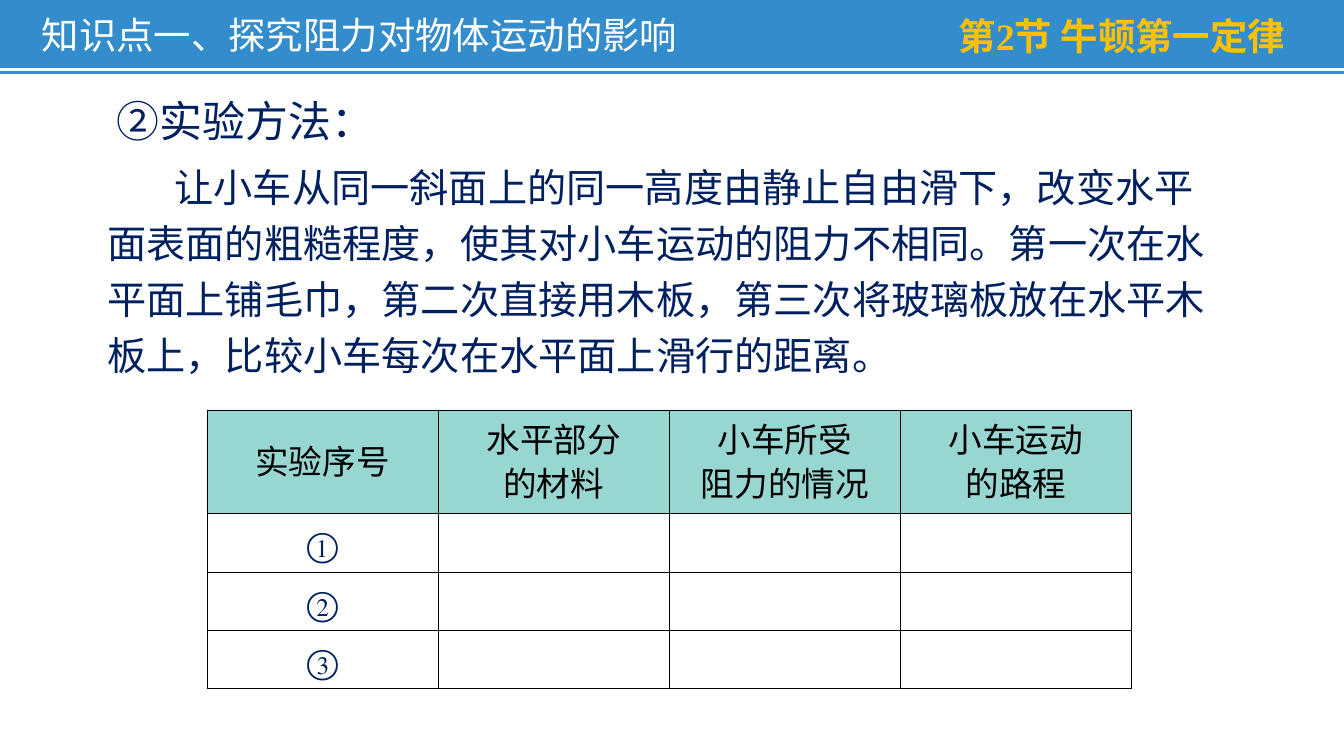
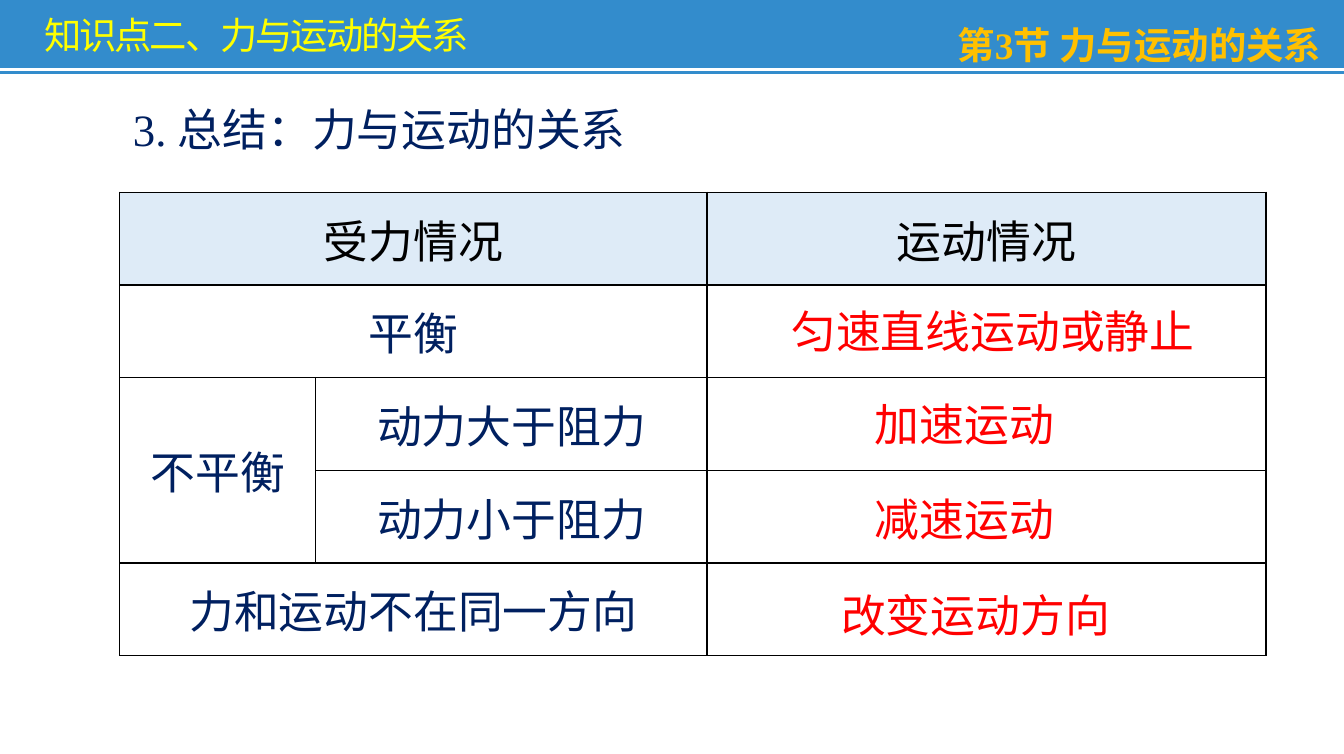
"""Build two physics lesson slides on force and motion."""
from dataclasses import dataclass
from typing import Optional

from lxml.etree import SubElement
from pptx import Presentation
from pptx.dml.color import RGBColor
from pptx.enum.shapes import MSO_CONNECTOR, MSO_SHAPE
from pptx.enum.text import MSO_ANCHOR, MSO_AUTO_SIZE, PP_ALIGN
from pptx.oxml.ns import qn
from pptx.slide import Slide
from pptx.util import Inches, Pt

LEFT, MID, RIGHT = PP_ALIGN.LEFT, PP_ALIGN.CENTER, PP_ALIGN.RIGHT
TOP, MIDDLE = MSO_ANCHOR.TOP, MSO_ANCHOR.MIDDLE
GROW, FIXED = MSO_AUTO_SIZE.SHAPE_TO_FIT_TEXT, MSO_AUTO_SIZE.NONE
RECT, STRAIGHT = MSO_SHAPE.RECTANGLE, MSO_CONNECTOR.STRAIGHT


@dataclass(frozen=True)
class Theme:
    """Hold the colours, fonts and type sizes."""
    band: str = "0070C0"
    white: str = "FFFFFF"
    black: str = "000000"
    navy: str = "002060"
    gold: str = "FFC000"
    yellow: str = "FFFF00"
    red: str = "FF0000"
    teal: str = "64C2BA"
    pale: str = "DEEBF7"
    sans: str = "Noto Sans CJK SC"
    serif: str = "Times New Roman"
    head: float = 20
    body: float = 21
    lead: float = 23
    cell: float = 18
    large: float = 24


T = Theme()


@dataclass(frozen=True)
class Span:
    """Describe one run of text."""
    text: str
    size: float
    color: str
    font: str = T.sans
    bold: bool = False
    track: float = 0


@dataclass(frozen=True)
class Block:
    """Describe one text box holding one paragraph."""
    box: tuple[float, float, float, float]
    spans: list[Span]
    align: PP_ALIGN = LEFT
    indent: float = 0
    lead: Optional[float] = None
    wrap: bool = True


@dataclass(frozen=True)
class Grid:
    """Describe a table with one header row."""
    at: tuple[float, float]
    cols: list[float]
    rows: list[float]
    cells: list[list[str]]
    size: float
    font: str
    tint: str
    alpha: int
    rule: float
    lead: Optional[float] = None
    spans: tuple[tuple[int, int, int, int], ...] = ()


def paint(fill, color: str, alpha: int = 100) -> None:
    """Set a solid fill with an opacity in percent."""
    fill.solid()
    fill.fore_color.rgb = RGBColor.from_string(color)
    if alpha < 100:
        SubElement(fill.fore_color._xFill[0], qn("a:alpha"), val=str(alpha * 1000))


def add_run(para, span: Span) -> None:
    """Add one formatted run to a paragraph."""
    run = para.add_run()
    run.text = span.text
    font = run.font
    font.size, font.bold, font.name = Pt(span.size), span.bold, span.font
    font.color.rgb = RGBColor.from_string(span.color)
    props = run._r.get_or_add_rPr()
    SubElement(props, qn("a:ea"), typeface=T.sans)
    if span.track:
        props.set("spc", str(round(span.track * 100)))


def write(frame, block: Block) -> None:
    """Write the paragraph of a block into a text frame."""
    frame.word_wrap = block.wrap
    frame.vertical_anchor = TOP
    para = frame.paragraphs[0]
    para.alignment = block.align
    if block.lead:
        para.line_spacing = Pt(block.lead)
    if block.indent:
        props = para._p.get_or_add_pPr()
        props.set("marL", "0")
        props.set("indent", str(Inches(block.indent)))
    for span in block.spans:
        add_run(para, span)


def add_text(slide: Slide, block: Block) -> None:
    """Draw a text box."""
    frame = slide.shapes.add_textbox(*map(Inches, block.box)).text_frame
    write(frame, block)
    frame.auto_size = GROW


def add_base(deck, title: Block, label: Block) -> Slide:
    """Add a slide with its band, title and section label."""
    slide = deck.slides.add_slide(deck.slide_layouts[5])
    band = slide.shapes.add_shape(RECT, 0, 0, deck.slide_width, Inches(0.55))
    band.shadow.inherit = False
    paint(band.fill, T.band, 80)
    band.line.fill.background()
    y = Inches(0.52)
    line = slide.shapes.add_connector(STRAIGHT, 0, y, deck.slide_width, y)
    line.line.color.rgb = RGBColor.from_string(T.white)
    line.line.width = Pt(1.5)
    SubElement(line.element.spPr, qn("a:effectLst"))
    head = slide.shapes.title
    head.left, head.top, head.width, head.height = map(Inches, title.box)
    write(head.text_frame, title)
    head.text_frame.auto_size = FIXED
    head.element.getparent().append(head.element)
    add_text(slide, label)
    return slide


def add_edge(cell, width: float) -> None:
    """Rule all four sides of a cell."""
    props = cell._tc.get_or_add_tcPr()
    for side in ("lnL", "lnR", "lnT", "lnB"):
        edge = SubElement(props, qn(f"a:{side}"), w=str(Pt(width)))
        SubElement(SubElement(edge, qn("a:solidFill")), qn("a:srgbClr"), val=T.black)


def add_grid(slide: Slide, grid: Grid) -> None:
    """Draw a ruled table."""
    size = sum(grid.cols), sum(grid.rows)
    table = slide.shapes.add_table(
        len(grid.rows), len(grid.cols), *map(Inches, grid.at + size)).table
    table.first_row = table.horz_banding = False
    for col, width in zip(table.columns, grid.cols):
        col.width = Inches(width)
    for row, height in zip(table.rows, grid.rows):
        row.height = Inches(height)
    for r, texts in enumerate(grid.cells):
        for c, text in enumerate(texts):
            cell = table.cell(r, c)
            add_edge(cell, grid.rule)
            if r == 0:
                paint(cell.fill, grid.tint, grid.alpha)
            else:
                cell.fill.background()
            cell.vertical_anchor = MIDDLE
            color = T.navy if r else T.black
            for i, part in enumerate(text.split("\n") if text else []):
                frame = cell.text_frame
                para = frame.add_paragraph() if i else frame.paragraphs[0]
                para.alignment = MID
                if grid.lead:
                    para.line_spacing = Pt(grid.lead)
                add_run(para, Span(part, grid.size, color, grid.font))
    for r, c, r2, c2 in grid.spans:
        table.cell(r, c).merge(table.cell(r2, c2))


def add_method(deck) -> None:
    """Build the slide on the method of the test."""
    title = Block((0.21, 0.04, 5.56, 0.44), [
        Span("知识点一、探究阻力对物体运动的影响", T.head, T.white)])
    label = Block((6.61, 0.05, 3.05, 0.44), [
        Span("第", T.head, T.gold, bold=True),
        Span("2", T.head, T.gold, T.serif, True),
        Span("节 牛顿第一定律", T.head, T.gold, bold=True)], RIGHT)
    slide = add_base(deck, title, label)
    add_text(slide, Block((0.7, 1.1, 8.47, 1.75), [Span(
        "让小车从同一斜面上的同一高度由静止自由滑下，改变水平面表面的粗糙程度，"
        "使其对小车运动的阻力不相同。第一次在水平面上铺毛巾，第二次直接用木板，"
        "第三次将玻璃板放在水平木板上，比较小车每次在水平面上滑行的距离。",
        T.body, T.navy)], indent=0.5, lead=30))
    add_text(slide, Block((0.27, 0.54, 3.06, 0.55), [
        Span("②实验方法：", T.lead, T.navy, T.serif)], indent=0.5, lead=36))
    heads = ["实验序号", "水平部分\n的材料", "小车所受\n阻力的情况", "小车运动\n的路程"]
    cells = [heads] + [[mark, "", "", ""] for mark in "①②③"]
    add_grid(slide, Grid((1.54, 3.05), [1.72] * 4, [0.77] + [0.43] * 3, cells,
                         T.cell, T.serif, T.teal, 66, 0.25, 24))


def add_recap(deck) -> None:
    """Build the slide that sums up force and motion."""
    title = Block((0.23, 0.04, 3.74, 0.44), [
        Span("知识点二、力与运动的关系", T.head, T.yellow, track=-1.2)])
    label = Block((6.56, -0.05, 3.37, 0.55), [
        Span("第3节 力与运动的关系", T.head, T.gold, T.serif, True)], RIGHT, lead=36)
    slide = add_base(deck, title, label)
    cells = [["受力情况", "", "运动情况"], ["平衡", "", ""],
             ["不平衡", "动力大于阻力", ""], ["", "动力小于阻力", ""],
             ["力和运动不在同一方向", "", ""]]
    spans = ((0, 0, 0, 1), (1, 0, 1, 1), (2, 0, 3, 0), (4, 0, 4, 1))
    add_grid(slide, Grid((0.89, 1.43), [1.46, 2.91, 4.16], [0.69] * 5, cells,
                         T.large, T.sans, T.pale, 100, 0.75, spans=spans))
    for x, y, width, text, wrap in (
            (5.79, 2.21, 3.23, "匀速直线运动或静止", False),
            (6.41, 2.9, 1.85, "加速运动", True),
            (6.41, 3.61, 1.85, "减速运动", True),
            (6.16, 4.32, 2.5, "改变运动方向", True)):
        add_text(slide, Block((x, y, width, 0.5), [
            Span(text, T.large, T.red, T.serif)], wrap=wrap))
    add_text(slide, Block((0.89, 0.71, 3.98, 0.5), [
        Span("3. ", T.large, T.navy, T.serif),
        Span("总结：力与运动的关系", T.large, T.navy)]))


def main() -> None:
    """Build and save the deck."""
    deck = Presentation()
    deck.slide_width, deck.slide_height = Inches(10), Inches(5.61)
    add_method(deck)
    add_recap(deck)
    deck.save("out.pptx")


if __name__ == "__main__":
    main()
